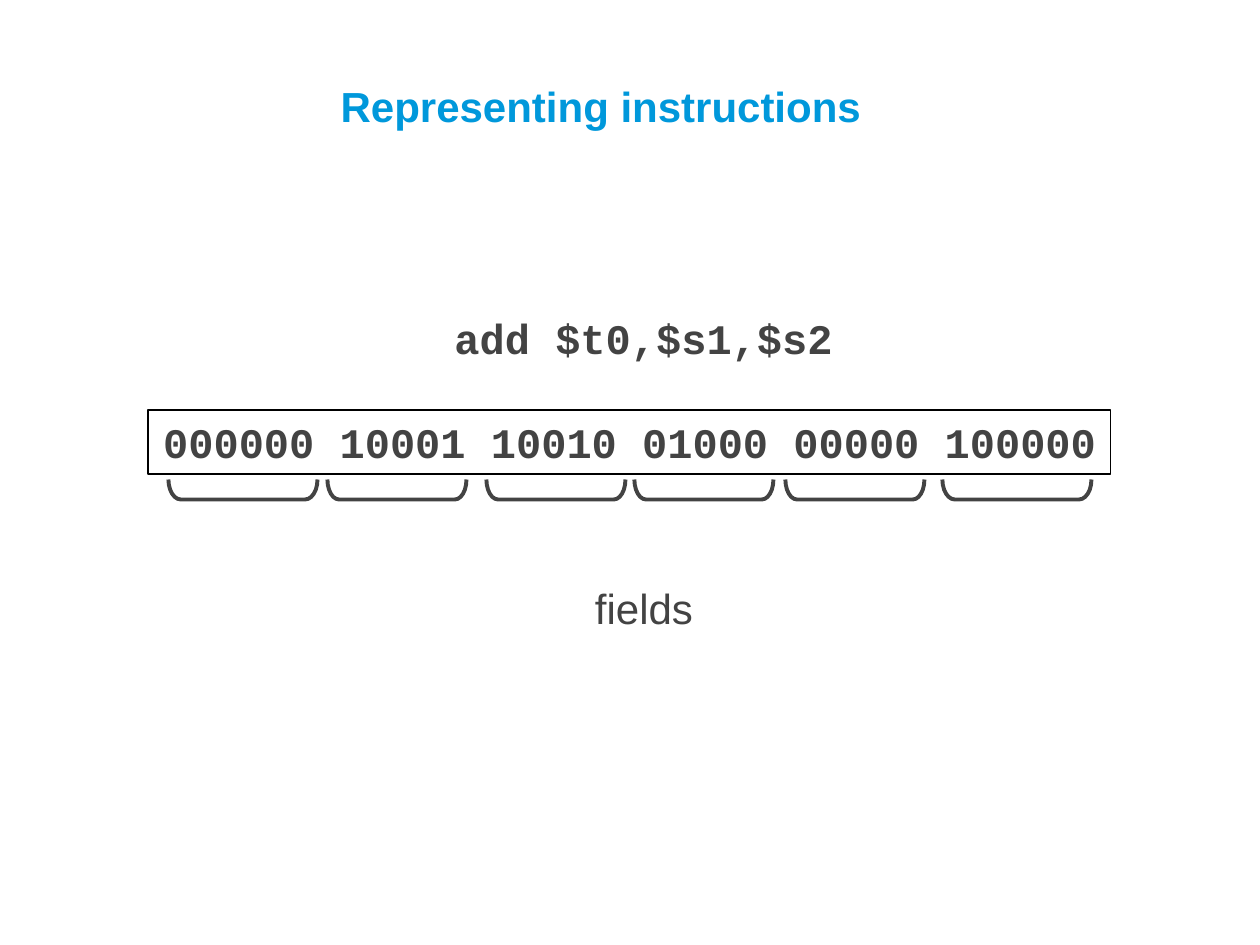
from pptx import Presentation, util as u
from pptx.dml.color import RGBColor
from pptx.enum import shapes, text

TITLE = "Representing instructions"
INSTRUCTION = "add $t0,$s1,$s2"
FIELDS = [
    ("000000", 243),
    ("10001", 397),
    ("10010", 556),
    ("01000", 704),
    ("00000", 855),
    ("100000", 1017),
]
CAPTION = "fields"

BLUE = RGBColor(0x00, 0x98, 0xDB)
GREY = RGBColor(0x43, 0x43, 0x43)
BLACK = RGBColor(0, 0, 0)

PX = u.Inches(1) // 126
BRACE_MIDDLE = 489
BRACE_DEPTH = 20
BRACE_LENGTH = {5: 139, 6: 149}
BRACE_CURVE = {5: 0.58, 6: 0.62}


def px(*lengths):
    return [length * PX for length in lengths]


def write(holder, words, font_name, color, bold, align, anchor, inset):
    frame = holder.text_frame
    frame.text = words
    frame.word_wrap = True
    frame.auto_size = text.MSO_AUTO_SIZE.NONE
    frame.vertical_anchor = anchor
    frame.margin_left = frame.margin_right = u.Inches(0.1)
    frame.margin_top = frame.margin_bottom = u.Inches(inset)
    paragraph = frame.paragraphs[0]
    paragraph.alignment = align
    font = paragraph.runs[0].font
    font.name, font.size, font.bold = font_name, u.Pt(24), bold
    font.color.rgb = color


def write_label(holder, words, font_name, bold):
    write(holder, words, font_name, GREY, bold,
          text.PP_ALIGN.CENTER, text.MSO_ANCHOR.TOP, 0.05)


def add_outline(slide, preset, box, color, weight):
    outline = slide.shapes.add_shape(preset, *px(*box))
    outline.shadow.inherit = False
    outline.fill.background()
    outline.line.color.rgb = color
    outline.line.width = u.Pt(weight)
    return outline


def add_brace(slide, bits, center):
    length = BRACE_LENGTH[len(bits)]
    box = (center - BRACE_DEPTH // 2, BRACE_MIDDLE - length // 2, BRACE_DEPTH, length)
    brace = add_outline(slide, shapes.MSO_SHAPE.LEFT_BRACKET, box, GREY, 2.25)
    brace.adjustments[0] = BRACE_CURVE[len(bits)]
    brace.rotation = 270


def main():
    deck = Presentation()
    deck.slide_width, deck.slide_height = px(1260, 945)
    slide = deck.slides.add_slide(deck.slide_layouts[5])

    title = slide.shapes.title
    title.left, title.top, title.width, title.height = px(328, 67, 882, 77)
    write(title, TITLE, "Arial", BLUE, True,
          text.PP_ALIGN.LEFT, text.MSO_ANCHOR.BOTTOM, 0.1)

    instruction = slide.shapes.add_textbox(*px(321, 306, 645, 63))
    write_label(instruction, INSTRUCTION, "Courier New", True)

    machine_word = add_outline(
        slide, shapes.MSO_SHAPE.RECTANGLE, (148, 410, 963, 64), BLACK, 0.75)
    write_label(machine_word, " ".join(bits for bits, _ in FIELDS), "Courier New", True)

    for bits, center in FIELDS:
        add_brace(slide, bits, center)

    caption = slide.shapes.add_textbox(*px(515, 576, 258, 63))
    write_label(caption, CAPTION, "Arial", False)

    deck.save("out.pptx")


if __name__ == "__main__":
    main()
